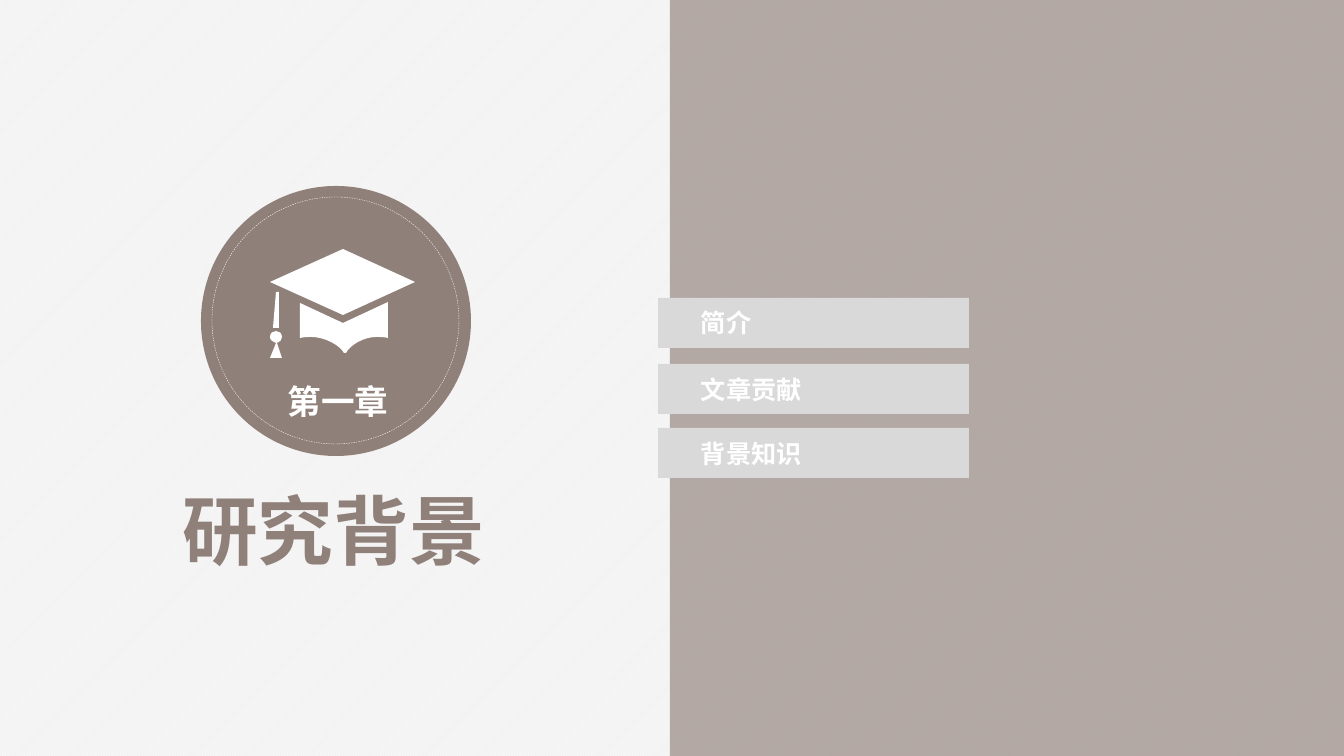
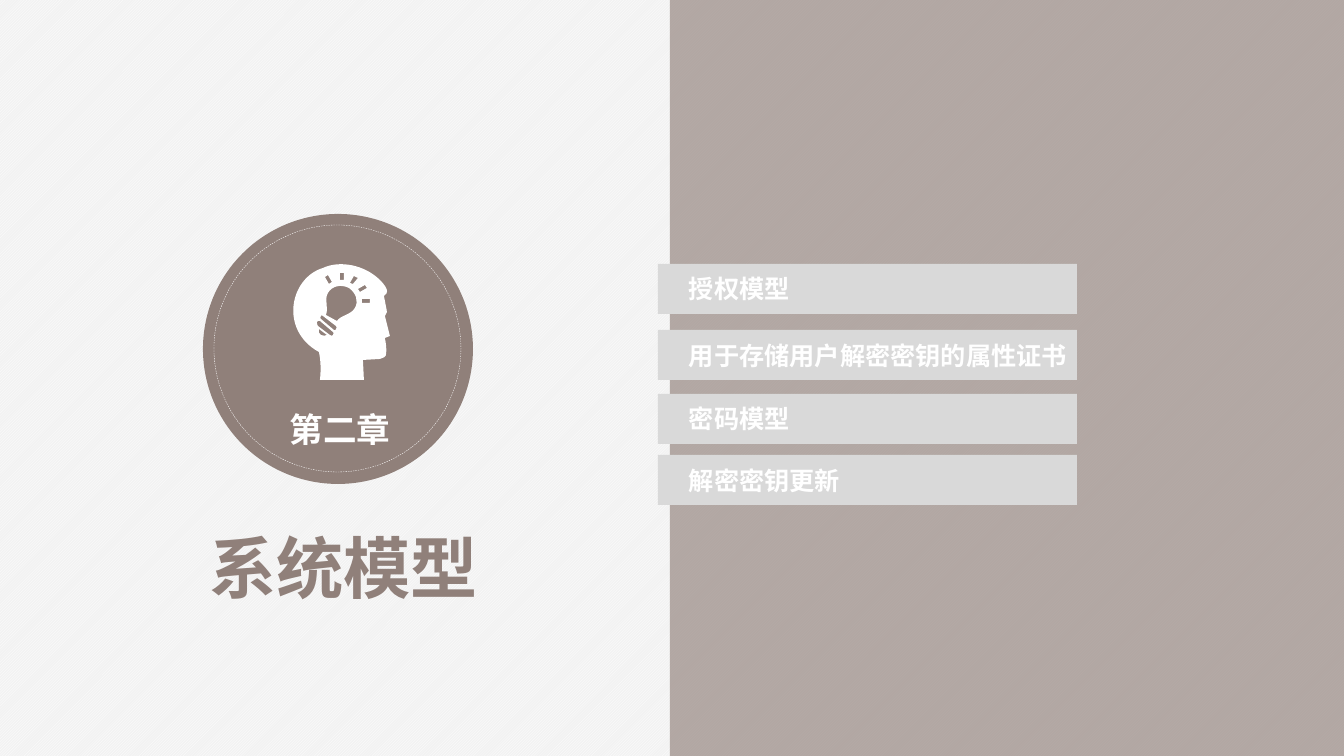
from dataclasses import dataclass

from lxml.etree import SubElement
from pptx import Presentation
from pptx.dml.color import RGBColor
from pptx.enum.dml import MSO_LINE, MSO_PATTERN
from pptx.enum.shapes import MSO_SHAPE
from pptx.enum.text import MSO_ANCHOR, MSO_AUTO_SIZE, PP_ALIGN
from pptx.oxml.ns import qn
from pptx.util import Emu, Pt

PIXELS_PER_INCH = 100.8
EMU_PER_PIXEL = 914400 / PIXELS_PER_INCH


@dataclass(frozen=True)
class Theme:
    """Colours, font and type sizes of the deck."""
    brown: RGBColor = RGBColor(0x90, 0x80, 0x7A)
    bar: RGBColor = RGBColor(0xD9, 0xD9, 0xD9)
    paper: RGBColor = RGBColor(0xF2, 0xF2, 0xF2)
    white: RGBColor = RGBColor(0xFF, 0xFF, 0xFF)
    panel_opacity: int = 65
    font: str = "Noto Sans CJK SC"
    chapter_size: int = 24
    topic_size: int = 18


THEME = Theme()

# Icon outlines in pixels from the icon's corner. Two numbers are a straight
# line to a point; six are a cubic curve (two control points, then the end).
GRADUATION_CAP = [
    [(30, 89), (34, 88, 38, 88, 42, 88), (54, 88, 70, 96, 74, 104),
     (76, 104), (80, 96, 94, 88, 106, 88), (110, 88, 115, 88, 118, 89),
     (118, 53), (73, 74), (30, 54)],
    [(73, 0), (0, 33), (73, 66), (145, 33)],
    [(6, 43), (3, 79), (9, 79), (9, 43)],
    [(12, 109), (7, 94), (10, 93, 12, 91, 12, 88), (12, 84, 9, 82, 6, 82),
     (3, 82, 0, 84, 0, 88), (0, 91, 3, 93, 6, 94), (0, 109)],
]
HEAD_WITH_BULB = [
    # head
    [(41, 120), (42, 111, 42, 101, 40, 92), (0, 70, 11, 18, 44, 8),
     (61, 0, 86, 5, 101, 20), (112, 31, 107, 34, 107, 34), (105, 36),
     (106, 41, 108, 51, 108, 52), (107, 54, 106, 56, 106, 56), (111, 76),
     (106, 78), (107, 84, 108, 89, 107, 95), (107, 96, 104, 99, 101, 99),
     (84, 100), (85, 120)],
    # rays
    [(83, 43), (91, 43), (91, 39), (83, 39)],
    [(53, 22), (49, 15), (46, 17), (50, 24)],
    [(65, 20), (65, 13), (61, 13), (61, 20)],
    [(81, 32), (88, 28), (86, 25), (79, 29)],
    [(74, 24), (79, 18), (75, 16), (71, 23)],
    # bulb and its screw base
    [(70, 28), (62, 24, 53, 26, 49, 33), (45, 40, 50, 47, 47, 55), (58, 61),
     (62, 55, 72, 55, 76, 48), (80, 41, 77, 33, 70, 28)],
    [(57, 66), (44, 56), (43, 55, 42, 55, 42, 56), (41, 57, 41, 59, 42, 59),
     (55, 70), (56, 71, 57, 70, 57, 69), (58, 68, 58, 67, 57, 66)],
    [(54, 72), (41, 61), (40, 60, 39, 61, 38, 62), (38, 63, 38, 65, 39, 66),
     (51, 75), (52, 76, 54, 76, 54, 75), (55, 74, 55, 72, 54, 72)],
    [(40, 69), (39, 71, 40, 74, 42, 75), (44, 76, 47, 76, 48, 75)],
]


def pixels(value):
    """Turn pixels into EMU."""
    return Emu(round(value * EMU_PER_PIXEL))


def write_text(shape, text, size, color, align, anchor, wrap=False):
    """Put one bold paragraph into a shape."""
    frame = shape.text_frame
    frame.text = text
    frame.word_wrap = wrap
    frame.auto_size = MSO_AUTO_SIZE.NONE
    frame.vertical_anchor = anchor
    paragraph = frame.paragraphs[0]
    paragraph.alignment = align
    font = paragraph.font
    font.size = Pt(size)
    font.bold = True
    font.color.rgb = color
    font.name = THEME.font
    SubElement(font._element, qn("a:ea"), typeface=THEME.font)


def add_plain_shape(slide, kind, left, top, width, height, color=None):
    """Add a preset shape without shadow or line, filled if a colour is given."""
    shape = slide.shapes.add_shape(kind, *map(pixels, (left, top, width, height)))
    shape.shadow.inherit = False
    shape.line.fill.background()
    if color is None:
        shape.fill.background()
    else:
        shape.fill.solid()
        shape.fill.fore_color.rgb = color
    return shape


def add_panel(slide):
    """Add the translucent panel on the right half."""
    panel = add_plain_shape(slide, MSO_SHAPE.RECTANGLE, 670, 0, 674, 756, THEME.brown)
    color = panel._element.spPr.find(qn("a:solidFill"))[0]
    SubElement(color, qn("a:alpha"), val=str(THEME.panel_opacity * 1000))


def set_title(slide, text, size, left, top, width, height):
    """Place and format the title placeholder."""
    title = slide.shapes.title
    title.left, title.top, title.width, title.height = map(
        pixels, (left, top, width, height))
    write_text(title, text, size, THEME.brown, PP_ALIGN.CENTER, MSO_ANCHOR.TOP)


def add_badge(slide, chapter, left, top):
    """Add the round badge with its dashed ring and chapter number."""
    add_plain_shape(slide, MSO_SHAPE.OVAL, left, top, 270, 270, THEME.brown)
    label = slide.shapes.add_textbox(
        *map(pixels, (left + 6, top + 189, 262, 52)))
    write_text(label, chapter, THEME.chapter_size, THEME.white,
               PP_ALIGN.CENTER, MSO_ANCHOR.MIDDLE, wrap=True)
    ring = add_plain_shape(slide, MSO_SHAPE.OVAL, left + 11, top + 11, 247, 247)
    ring.line.color.rgb = THEME.white
    ring.line.width = Pt(0.25)
    ring.line.dash_style = MSO_LINE.DASH


def bend_curves(icon, contours):
    """Merge the three straight pieces of each curve step into one cubic curve."""
    lines = iter(list(icon._element.spPr.iter(qn("a:lnTo"))))
    for contour in contours:
        for step in contour[1:]:
            pieces = [next(lines) for _ in range(len(step) // 2)]
            if len(pieces) == 1:
                continue
            outline = pieces[0].getparent()
            curve = SubElement(outline, qn("a:cubicBezTo"))
            pieces[0].addprevious(curve)
            for piece in pieces:
                curve.append(piece[0])
                outline.remove(piece)


def add_icon(slide, contours, left, top):
    """Add a white icon made of closed contours; inner ones become holes."""
    outlines = [[(pixels(left + step[i]), pixels(top + step[i + 1]))
                 for step in contour for i in range(0, len(step), 2)]
                for contour in contours]
    builder = slide.shapes.build_freeform(*outlines[0][0], scale=1.0)
    for index, outline in enumerate(outlines):
        if index:
            builder.move_to(*outline[0])
        builder.add_line_segments(outline[1:], close=True)
    icon = builder.convert_to_shape()
    bend_curves(icon, contours)
    icon.shadow.inherit = False
    icon.fill.solid()
    icon.fill.fore_color.rgb = THEME.white
    icon.line.fill.background()


def add_topics(slide, topics, bar_width, label_left):
    """Add a bar and a label for each (bar top, label top, text)."""
    character_width = THEME.topic_size * PIXELS_PER_INCH / 72
    for bar_top, label_top, text in topics:
        add_plain_shape(slide, MSO_SHAPE.RECTANGLE, 658, bar_top, bar_width, 50, THEME.bar)
        label_width = 20 + len(text) * character_width
        label = slide.shapes.add_textbox(
            *map(pixels, (label_left, label_top, label_width, 40)))
        write_text(label, text, THEME.topic_size, THEME.white,
                   PP_ALIGN.LEFT, MSO_ANCHOR.TOP)


def add_chapter_slide(presentation, layout):
    """Add a slide with the shared panel."""
    slide = presentation.slides.add_slide(layout)
    add_panel(slide)
    return slide


def set_background(layout):
    """Give the layout its hatched paper background."""
    fill = layout.background.fill
    fill.patterned()
    fill.pattern = MSO_PATTERN.LIGHT_UPWARD_DIAGONAL
    fill.fore_color.rgb = THEME.white
    fill.back_color.rgb = THEME.paper


def main():
    """Build both chapter slides and save them."""
    presentation = Presentation()
    presentation.slide_width = pixels(1344)
    presentation.slide_height = pixels(756)
    layout = presentation.slide_layouts[5]
    set_background(layout)

    slide = add_chapter_slide(presentation, layout)
    set_title(slide, "研究背景", 54, 172, 479, 323, 102)
    add_badge(slide, "第一章", 201, 186)
    add_icon(slide, GRADUATION_CAP, 270, 249)
    add_topics(slide, [(298, 302, "简介"), (364, 369, "文章贡献"),
                       (428, 433, "背景知识")],
               bar_width=311, label_left=691)

    slide = add_chapter_slide(presentation, layout)
    set_title(slide, "系统模型", 48, 199, 521, 289, 92)
    add_badge(slide, "第二章", 203, 214)
    add_icon(slide, HEAD_WITH_BULB, 279, 260)
    add_topics(slide, [(264, 268, "授权模型"),
                       (330, 335, "用于存储用户解密密钥的属性证书"),
                       (394, 398, "密码模型"), (455, 460, "解密密钥更新")],
               bar_width=419, label_left=679)

    presentation.save("out.pptx")


main()
